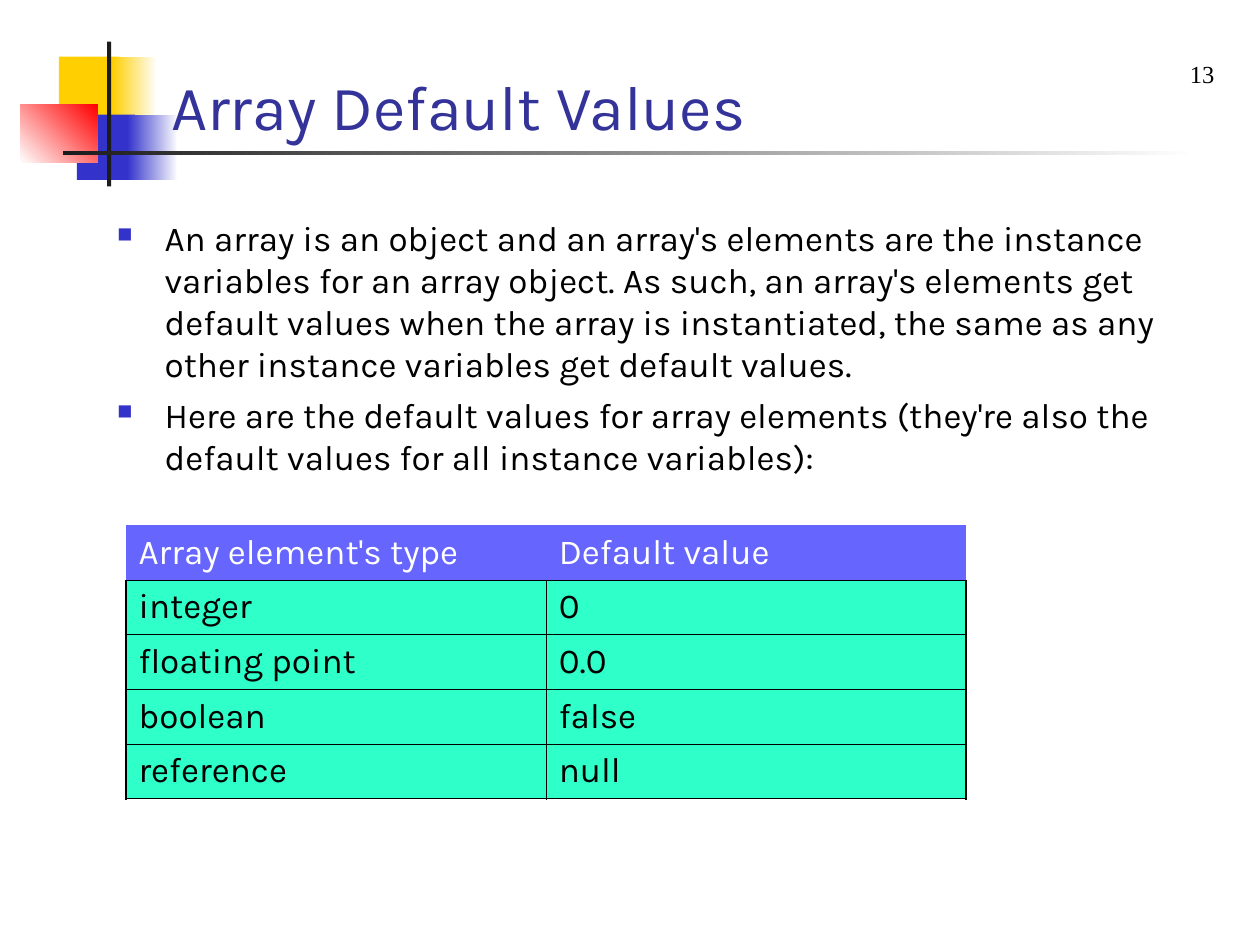
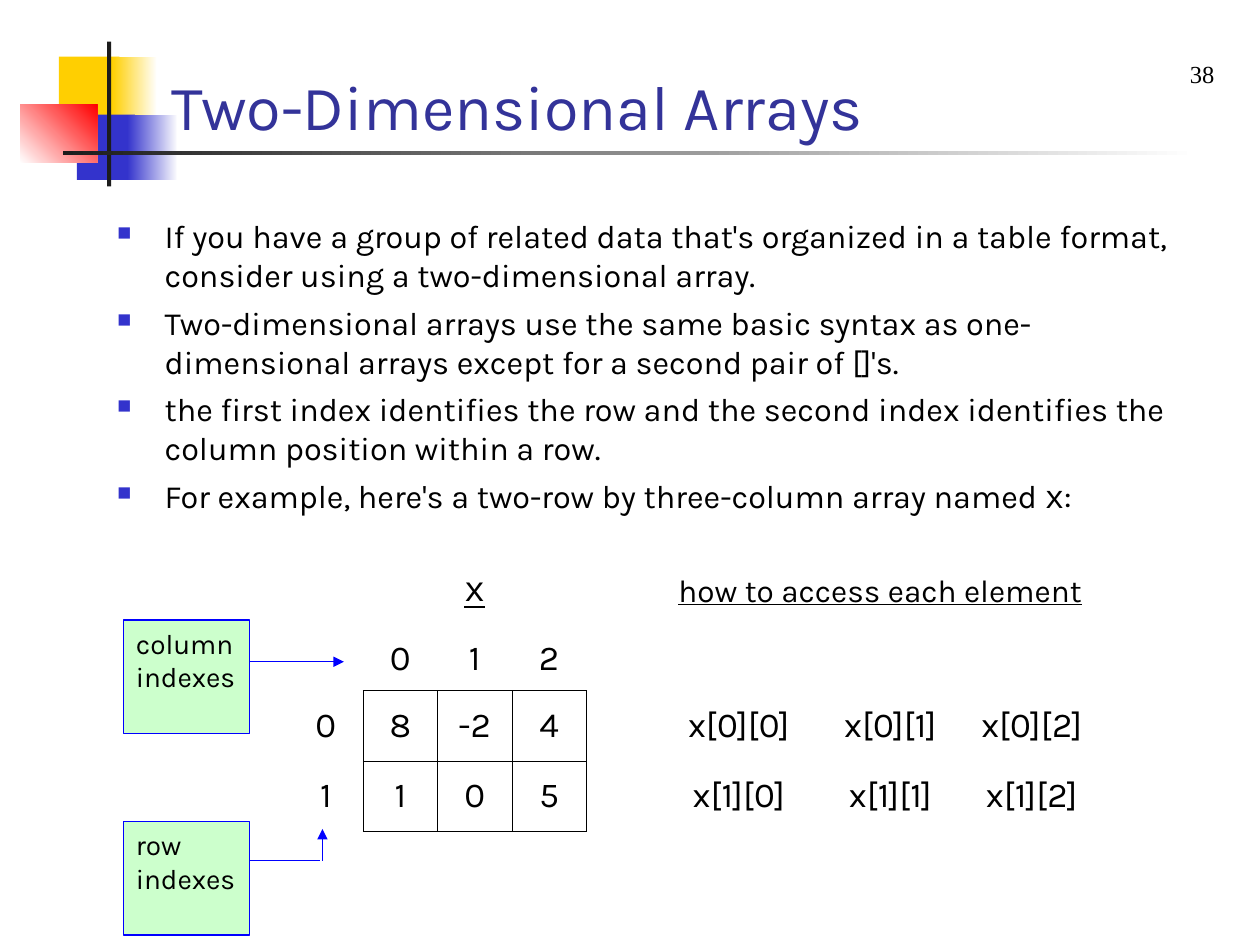
from lxml.etree import SubElement
from pptx import Presentation
from pptx.dml.color import RGBColor
from pptx.enum.shapes import MSO_CONNECTOR, MSO_SHAPE
from pptx.enum.text import MSO_ANCHOR, PP_ALIGN
from pptx.oxml.ns import qn
from pptx.util import Cm, Pt

BLACK = RGBColor(0x00, 0x00, 0x00)
WHITE = RGBColor(0xFF, 0xFF, 0xFF)
CHARCOAL = RGBColor(0x1C, 0x1C, 0x1C)
YELLOW = RGBColor(0xFF, 0xCF, 0x01)
RED = RGBColor(0xFF, 0x00, 0x00)
INDIGO = RGBColor(0x33, 0x33, 0xCC)
TITLE_BLUE = RGBColor(0x33, 0x33, 0x99)
HEADER_BLUE = RGBColor(0x66, 0x66, 0xFF)
MINT = RGBColor(0x2F, 0xFF, 0xC9)
LABEL_GREEN = RGBColor(0xCC, 0xFF, 0xCC)
ARROW_BLUE = RGBColor(0x00, 0x00, 0xFF)

KARLA = "Karla"
COURIER = "Courier New"
TIMES = "Times New Roman"
NO_STYLE = "{2D5ABB26-0587-4C30-8999-92F81FD0307C}"
THIN, THICK = 0.45, 1.08


def style_font(font, size, color=BLACK, name=KARLA):
    font.size = Pt(size)
    font.name = name
    font.color.rgb = color


def style_runs(paragraph, size, color=BLACK, name=KARLA):
    for span in paragraph.runs:
        style_font(span.font, size, color, name)


def add_rectangle(page, left, top, width, height, color, fade_to=None, angle=0):
    box = page.shapes.add_shape(
        MSO_SHAPE.RECTANGLE, Cm(left), Cm(top), Cm(width), Cm(height)
    )
    box.shadow.inherit = False
    box.line.fill.background()
    if fade_to is None:
        box.fill.solid()
        box.fill.fore_color.rgb = color
    else:
        box.fill.gradient()
        box.fill.gradient_angle = angle
        for stop, stop_color in zip(box.fill.gradient_stops, (color, fade_to)):
            stop.color.rgb = stop_color
    return box


def add_text_box(page, left, top, width, height):
    box = page.shapes.add_textbox(Cm(left), Cm(top), Cm(width), Cm(height))
    box.text_frame.word_wrap = True
    return box.text_frame


def add_decoration(page):
    for left, top, width, fade_left, fade_width, color in (
        (1.19, 1.14, 1.22, 2.26, 0.91, YELLOW),
        (1.55, 2.31, 1.17, 2.57, 1.02, INDIGO),
    ):
        add_rectangle(page, left, top, width, 1.32, color)
        add_rectangle(page, fade_left, top, fade_width, 1.32, color, WHITE)
    add_rectangle(page, 0.41, 2.11, 1.55, 1.17, WHITE, RED, 45)
    add_rectangle(page, 2.16, 0.84, 0.08, 2.92, CHARCOAL)
    add_rectangle(page, 1.27, 3.05, 22.86, 0.08, CHARCOAL, WHITE)


def add_page(deck, title, number):
    page = deck.slides.add_slide(deck.slide_layouts[6])
    add_decoration(page)
    frame = add_text_box(page, 3.2, 0.94, 19.66, 2.08)
    frame.vertical_anchor = MSO_ANCHOR.BOTTOM
    frame.text = title
    style_runs(frame.paragraphs[0], 36, TITLE_BLUE)
    frame = add_text_box(page, 23.7, 1.07, 1.07, 0.84)
    frame.text = str(number)
    frame.paragraphs[0].alignment = PP_ALIGN.CENTER
    style_runs(frame.paragraphs[0], 14, name=TIMES)
    return page


def set_bullet(para):
    properties = para._p.get_or_add_pPr()
    properties.set("marL", str(Cm(0.96)))
    properties.set("indent", str(-Cm(0.96)))
    color = SubElement(properties, qn("a:buClr"))
    SubElement(color, qn("a:srgbClr"), val=str(INDIGO))
    SubElement(properties, qn("a:buSzPct"), val="60000")
    SubElement(properties, qn("a:buChar"), char="■")


def add_bullets(page, width, height, size, texts):
    frame = add_text_box(page, 2.11, 4.24, width, height)
    for index, text in enumerate(texts):
        para = frame.add_paragraph() if index else frame.paragraphs[0]
        para.text = text
        set_bullet(para)
        if index:
            para.space_before = Pt(5)
        style_runs(para, size)
    return frame


def add_plain_table(page, left, top, widths, heights):
    frame = page.shapes.add_table(
        len(heights), len(widths), Cm(left), Cm(top), Cm(sum(widths)), Cm(sum(heights))
    )
    table = frame.table
    table.first_row = table.horz_banding = False
    table._tbl.tblPr.find(qn("a:tableStyleId")).text = NO_STYLE
    for column, width in zip(table.columns, widths):
        column.width = Cm(width)
    for row, height in zip(table.rows, heights):
        row.height = Cm(height)
    return table


def set_borders(cell, **widths):
    properties = cell._tc.get_or_add_tcPr()
    for side in "LRTB":
        if side in widths:
            line = SubElement(properties, qn(f"a:ln{side}"), w=str(Pt(widths[side])))
            fill = SubElement(line, qn("a:solidFill"))
            SubElement(fill, qn("a:srgbClr"), val=str(BLACK))


def fill_cell(cell, color=None):
    if color is None:
        cell.fill.background()
    else:
        cell.fill.solid()
        cell.fill.fore_color.rgb = color


def write_cell(cell, text, size=20, color=BLACK, name=KARLA, align=PP_ALIGN.CENTER):
    cell.text = text
    cell.vertical_anchor = MSO_ANCHOR.MIDDLE
    para = cell.text_frame.paragraphs[0]
    para.alignment = align
    style_runs(para, size, color, name)
    return para


def add_defaults_table(page, rows):
    table = add_plain_table(page, 2.54, 10.59, [8.47] * 2, [1.1] * len(rows))
    for row, texts in enumerate(rows):
        for column, text in enumerate(texts):
            cell = table.cell(row, column)
            if row == 0:
                set_borders(cell, B=THIN)
            else:
                set_borders(
                    cell,
                    L=THIN if column else THICK,
                    R=THICK if column else THIN,
                    T=THIN,
                    B=THICK if row == len(rows) - 1 else THIN,
                )
            fill_cell(cell, MINT if row else HEADER_BLUE)
            write_cell(cell, text, 20, BLACK if row else WHITE, align=PP_ALIGN.LEFT)


def add_array_table(page, array):
    widths = [1.5] * 5 + [3.15, 0.5, 2.46, 0.6, 2.14]
    table = add_plain_table(page, 5.82, 11.23, widths, [1.42, 1.27, 1.42, 1.42])
    for cell in table.iter_cells():
        fill_cell(cell)
    for row, first, last in (
        (0, 1, 3), (0, 5, 9), (1, 5, 6), (1, 7, 8),
        (2, 6, 7), (2, 8, 9), (3, 6, 7), (3, 8, 9),
    ):
        table.cell(row, first).merge(table.cell(row, last))

    name = write_cell(table.cell(0, 1), "x", name=COURIER)
    heading_cell = table.cell(0, 5)
    heading_cell.margin_left = heading_cell.margin_right = Cm(0.05)
    heading = write_cell(heading_cell, "how to access each element", 18)
    for para in (name, heading):
        para.runs[0].font.underline = True

    for column in range(len(array[0])):
        write_cell(table.cell(1, column + 1), str(column))
    for row, values in enumerate(array):
        write_cell(table.cell(row + 2, 0), str(row))
        for column, value in enumerate(values):
            cell = table.cell(row + 2, column + 1)
            set_borders(cell, L=THIN, R=THIN, T=THIN, B=THIN)
            write_cell(cell, str(value))
            access_cell = table.cell(row + 2, (5, 6, 8)[column])
            write_cell(access_cell, f"x[{row}][{column}]")


def add_label(page, top, text):
    box = add_rectangle(page, 2.49, top, 2.54, 2.29, LABEL_GREEN)
    box.line.color.rgb = ARROW_BLUE
    box.line.width = Pt(0.75)
    frame = box.text_frame
    frame.word_wrap = True
    frame.vertical_anchor = MSO_ANCHOR.TOP
    frame.text = text
    frame.paragraphs[0].alignment = PP_ALIGN.LEFT
    style_runs(frame.paragraphs[0], 16)


def add_line(page, start_x, start_y, end_x, end_y, arrow=True):
    line = page.shapes.add_connector(
        MSO_CONNECTOR.STRAIGHT, Cm(start_x), Cm(start_y), Cm(end_x), Cm(end_y)
    )
    line.line.color.rgb = ARROW_BLUE
    line.line.width = Pt(0.75)
    if arrow:
        SubElement(line.line._get_or_add_ln(), qn("a:tailEnd"), type="triangle")
    SubElement(line._element.spPr, qn("a:effectLst"))


def build_default_values(deck):
    page = add_page(deck, "Array Default Values", 13)
    add_bullets(page, 21.8, 6.15, 20, (
        "An array is an object and an array's elements are the instance variables "
        "for an array object. As such, an array's elements get default values when "
        "the array is instantiated, the same as any other instance variables get "
        "default values.",
        "Here are the default values for array elements (they're also the default "
        "values for all instance variables):",
    ))
    add_defaults_table(page, (
        ("Array element's type", "Default value"),
        ("integer", "0"),
        ("floating point", "0.0"),
        ("boolean", "false"),
        ("reference", "null"),
    ))


def build_two_dimensional(deck):
    page = add_page(deck, "Two-Dimensional Arrays", 38)
    bullets = add_bullets(page, 22.02, 6.98, 18.5, (
        "If you have a group of related data that's organized in a table format, "
        "consider using a two-dimensional array.",
        "Two-dimensional arrays use the same basic syntax as one-dimensional arrays "
        "except for a second pair of []'s.",
        "the first index identifies the row and the second index identifies the "
        "column position within a row.",
        "For example, here's a two-row by three-column array named ",
    ))
    for text, name in (("x", COURIER), (":", KARLA)):
        span = bullets.paragraphs[-1].add_run()
        span.text = text
        style_font(span.font, 18.5, name=name)
    add_array_table(page, ((8, -2, 4), (1, 0, 5)))
    add_label(page, 12.5, "column indexes")
    add_line(page, 5.03, 13.34, 6.93, 13.34)
    add_label(page, 16.56, "row indexes")
    add_line(page, 5.03, 17.35, 6.45, 17.35, arrow=False)
    add_line(page, 6.5, 17.35, 6.5, 16.71)


def main():
    deck = Presentation()
    deck.slide_width, deck.slide_height = Cm(25.4), Cm(19.05)
    build_default_values(deck)
    build_two_dimensional(deck)
    deck.save("out.pptx")


if __name__ == "__main__":
    main()
